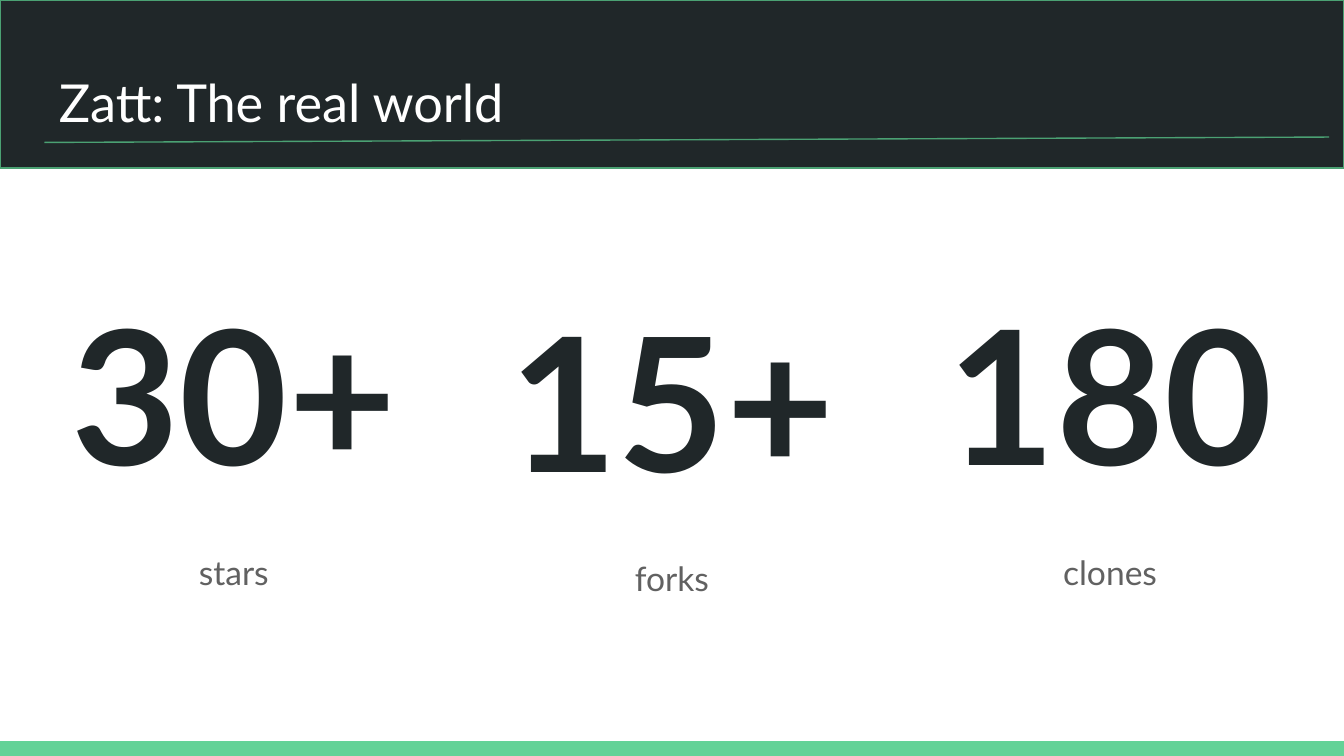
"""Build a slide with three headline figures under a dark title band."""
from lxml import etree
from pptx import Presentation
from pptx.dml.color import RGBColor
from pptx.enum.shapes import MSO_CONNECTOR, MSO_SHAPE
from pptx.enum.text import MSO_ANCHOR, PP_ALIGN
from pptx.oxml.ns import qn
from pptx.util import Inches, Pt

RECT = MSO_SHAPE.RECTANGLE
STRAIGHT = MSO_CONNECTOR.STRAIGHT
TOP, MIDDLE = MSO_ANCHOR.TOP, MSO_ANCHOR.MIDDLE
LEFT, CENTER = PP_ALIGN.LEFT, PP_ALIGN.CENTER

TITLE = "Zatt: The real world"
STATS = [("30+", "stars", 0), ("15+", "forks", 0.05), ("180", "clones", 0)]

WIDTH = 10
HEIGHT = WIDTH * 9 / 16
DARK, GREEN, MINT, GRAY, WHITE = "202729", "4BA173", "63D297", "616161", "FFFFFF"
FONT = "Lato"
MARGIN = 0.34
COL = 2.8
STEP = (WIDTH - 2 * MARGIN - COL) / (len(STATS) - 1)
STAT_TOP, STAT_TALL = 1.86, 2.1
FOOT = 0.11


def color(code):
    return RGBColor.from_string(code)


def add_bar(slide, top, tall, fill, edge=None):
    bar = slide.shapes.add_shape(RECT, 0, Inches(top), Inches(WIDTH), Inches(tall))
    bar.shadow.inherit = False
    bar.fill.solid()
    bar.fill.fore_color.rgb = color(fill)
    if edge:
        bar.line.color.rgb = color(edge)
        bar.line.width = Pt(0.75)
    else:
        bar.line.fill.background()


def add_rule(slide, start, end):
    rule = slide.shapes.add_connector(STRAIGHT, *map(Inches, start + end))
    rule.line.color.rgb = color(GREEN)
    rule.line.width = Pt(0.75)
    etree.SubElement(rule._element.spPr, qn("a:effectLst"))


def add_text(slide, text, box, size, tint, align=CENTER, anchor=MIDDLE, bold=False):
    frame = slide.shapes.add_textbox(*map(Inches, box)).text_frame
    frame.word_wrap = True
    frame.vertical_anchor = anchor
    frame.margin_left = frame.margin_right = Inches(0.1)
    frame.margin_top = frame.margin_bottom = Inches(0.1)
    frame.text = text
    para = frame.paragraphs[0]
    para.alignment = align
    font = para.runs[0].font
    font.name, font.size, font.bold = FONT, Pt(size), bold
    font.color.rgb = color(tint)
    return para


def main():
    deck = Presentation()
    deck.slide_width, deck.slide_height = Inches(WIDTH), Inches(HEIGHT)
    slide = deck.slides.add_slide(deck.slide_layouts[6])
    add_bar(slide, HEIGHT - FOOT, FOOT, MINT)
    add_bar(slide, 0, 1.25, DARK, GREEN)
    add_text(slide, TITLE, (MARGIN, 0.44, WIDTH - 2 * MARGIN, 0.63), 28, WHITE, LEFT)
    add_rule(slide, (0.33, 1.06), (9.89, 1.02))
    for col, (number, label, drop) in enumerate(STATS):
        left, top = MARGIN + col * STEP, STAT_TOP + drop
        add_text(slide, number, (left, top, COL, STAT_TALL), 100, DARK, bold=True)
        para = add_text(slide, label, (left, top + STAT_TALL, COL, 0.57), 18, GRAY, anchor=TOP)
        para.line_spacing = 1.15
        para.space_after = Pt(16)
    deck.save("out.pptx")


if __name__ == "__main__":
    main()
